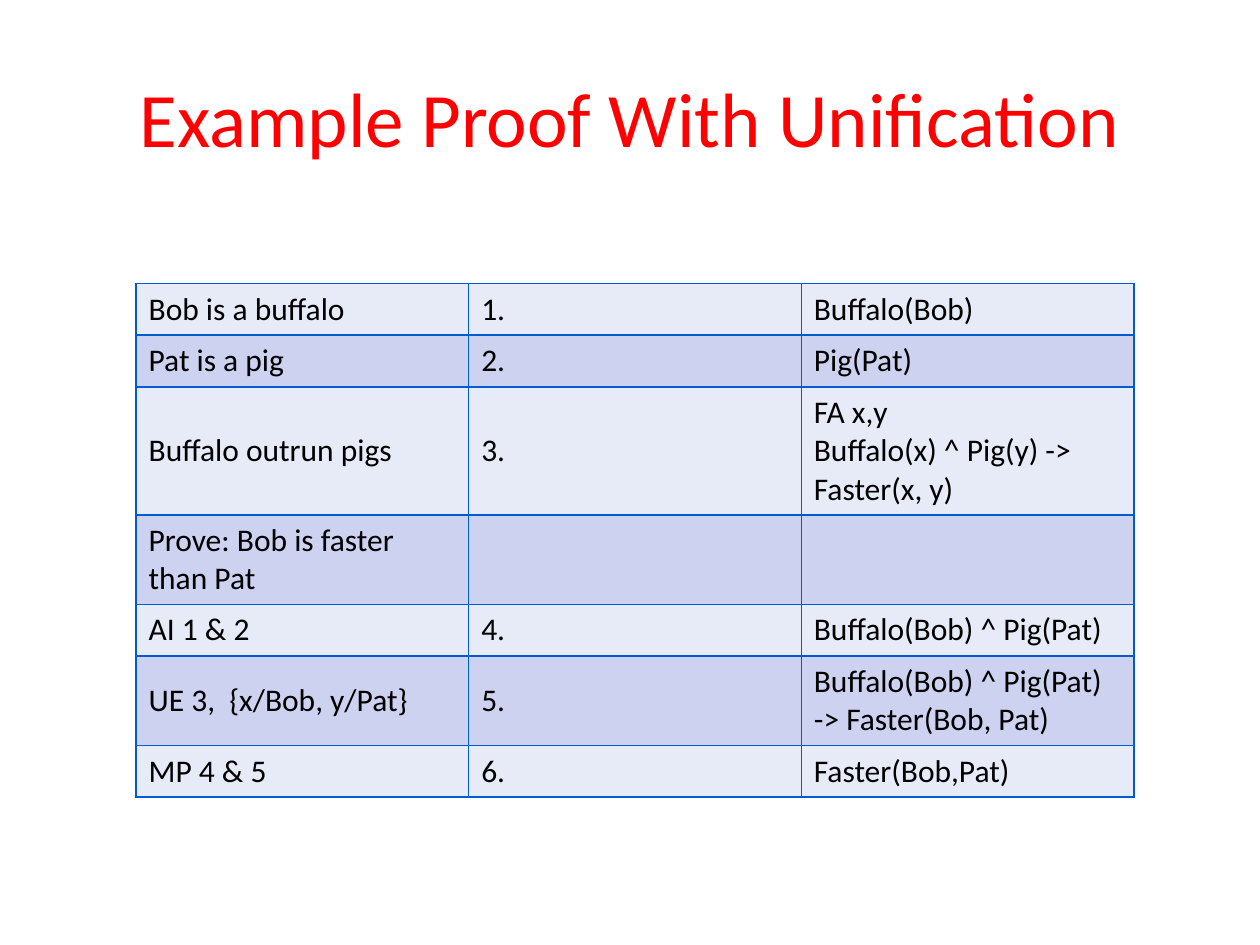
"""Build the slide that proves a statement step by step with unification."""
from dataclasses import dataclass

from lxml import etree
from pptx import Presentation
from pptx.dml.color import RGBColor
from pptx.enum.text import MSO_ANCHOR, PP_ALIGN
from pptx.oxml.ns import qn
from pptx.util import Inches, Pt

MIDDLE = MSO_ANCHOR.MIDDLE
CENTER = PP_ALIGN.CENTER
LEFT = PP_ALIGN.LEFT
TITLE_ONLY = 5

PROOF_STEPS = [
    ("Bob is a buffalo", "1.", "Buffalo(Bob)"),
    ("Pat is a pig", "2.", "Pig(Pat)"),
    ("Buffalo outrun pigs", "3.", "FA x,y\vBuffalo(x) ^ Pig(y) -> Faster(x, y)"),
    ("Prove: Bob is faster than Pat", "", ""),
    ("AI 1 & 2", "4.", "Buffalo(Bob) ^ Pig(Pat)"),
    ("UE 3,  {x/Bob, y/Pat}", "5.", "Buffalo(Bob) ^ Pig(Pat) -> Faster(Bob, Pat)"),
    ("MP 4 & 5", "6.", "Faster(Bob,Pat)"),
]


@dataclass(frozen=True)
class Theme:
    font: str = "Calibri"
    title_size: int = 44
    cell_size: int = 18
    title_color: str = "FF0000"
    text_color: str = "000000"
    border_color: str = "005BD3"
    border_width: int = 1
    bands: tuple = ("E7EAF7", "CCD2EF")


class SlideBuilder:
    def __init__(self, slide, theme):
        self.slide = slide
        self.theme = theme

    def format_text(self, frame, size, color, alignment):
        for paragraph in frame.paragraphs:
            paragraph.alignment = alignment
            paragraph.font.name = self.theme.font
            paragraph.font.size = Pt(size)
            paragraph.font.color.rgb = RGBColor.from_string(color)

    def add_title(self, text, left, top, width, height):
        title = self.slide.shapes.title
        title.left, title.top = Inches(left), Inches(top)
        title.width, title.height = Inches(width), Inches(height)
        frame = title.text_frame
        frame.text = text
        frame.vertical_anchor = MIDDLE
        self.format_text(frame, self.theme.title_size, self.theme.title_color, CENTER)

    def add_borders(self, cell):
        properties = cell._tc.get_or_add_tcPr()
        for side in ("lnL", "lnR", "lnT", "lnB"):
            line = etree.SubElement(properties, qn(f"a:{side}"),
                                    w=str(Pt(self.theme.border_width)))
            fill = etree.SubElement(line, qn("a:solidFill"))
            etree.SubElement(fill, qn("a:srgbClr"), val=self.theme.border_color)

    def add_table(self, rows, left, top, column_width, row_height):
        column_count = len(rows[0])
        table = self.slide.shapes.add_table(
            len(rows), column_count, Inches(left), Inches(top),
            Inches(column_width * column_count), Inches(row_height * len(rows))).table
        table.first_row = False
        table.horz_banding = False
        for column in table.columns:
            column.width = Inches(column_width)
        for row_index, texts in enumerate(rows):
            table.rows[row_index].height = Inches(row_height)
            band = self.theme.bands[row_index % len(self.theme.bands)]
            for column_index, text in enumerate(texts):
                self.fill_cell(table.cell(row_index, column_index), text, band)

    def fill_cell(self, cell, text, band):
        cell.text = text
        cell.vertical_anchor = MIDDLE
        self.add_borders(cell)
        cell.fill.solid()
        cell.fill.fore_color.rgb = RGBColor.from_string(band)
        self.format_text(cell.text_frame, self.theme.cell_size,
                         self.theme.text_color, LEFT)


def main():
    deck = Presentation()
    deck.slide_width, deck.slide_height = Inches(10), Inches(7.5)
    page = deck.slides.add_slide(deck.slide_layouts[TITLE_ONLY])
    builder = SlideBuilder(page, Theme())
    builder.add_title("Example Proof With Unification", 0.5, 0.3, 9, 1.25)
    builder.add_table(PROOF_STEPS, 1.08, 2.25, column_width=2.64, row_height=0.41)
    deck.save("out.pptx")


if __name__ == "__main__":
    main()
